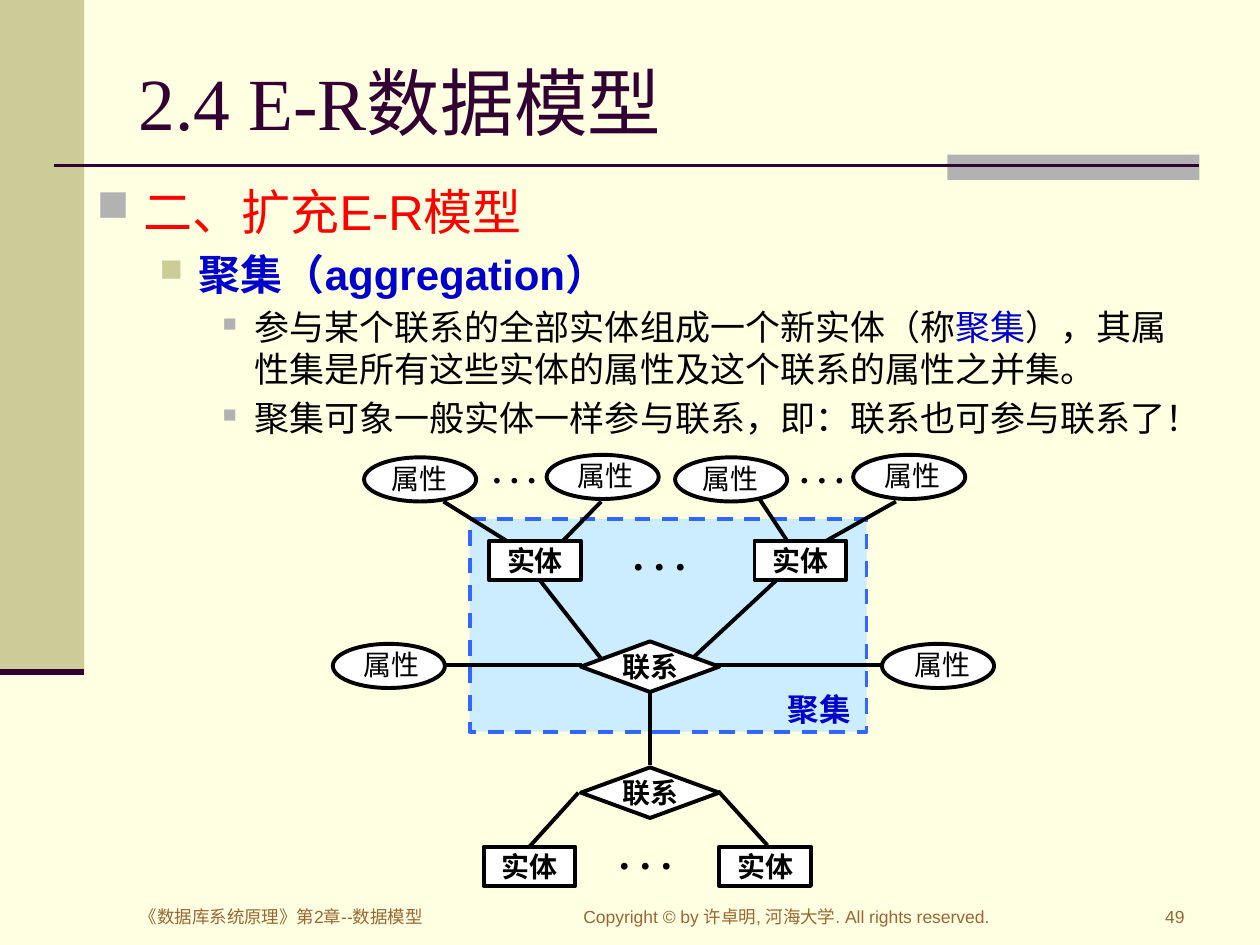
from dataclasses import dataclass
from lxml.etree import SubElement
from pptx import Presentation
from pptx.dml.color import RGBColor
from pptx.enum.dml import MSO_LINE
from pptx.enum.shapes import MSO_CONNECTOR, MSO_SHAPE as SHAPE
from pptx.enum.text import MSO_ANCHOR as ANCHOR, PP_ALIGN as ALIGN
from pptx.oxml.ns import qn
from pptx.util import Cm, Pt


@dataclass(frozen=True)
class Theme:
    paper: str = "FFFFE1"
    olive: str = "CCCC99"
    gray: str = "B2B2B2"
    plum: str = "330033"
    red: str = "FF0000"
    blue: str = "0000CC"
    sky: str = "CCECFF"
    dash: str = "3366FF"
    brown: str = "996633"
    black: str = "000000"
    white: str = "FFFFFF"
    sans: str = "Arial"
    serif: str = "Times New Roman"
    title: int = 42
    levels: tuple = (28, 24, 20)
    node: int = 16
    tag: int = 18
    footer: int = 10
    stroke: float = 2.25


T = Theme()
rgb = RGBColor.from_string

prs = Presentation()
prs.slide_width, prs.slide_height = Cm(25.4), Cm(19.05)
s = prs.slides.add_slide(prs.slide_layouts[6])
s.background.fill.solid()
s.background.fill.fore_color.rgb = rgb(T.paper)


def put(kind, x, y, w, h, text="", size=T.node, color=T.black, bold=False, font=T.serif,
        align=ALIGN.CENTER, anchor=ANCHOR.TOP, fill=T.white, line=T.black):
    box = Cm(x), Cm(y), Cm(w), Cm(h)
    if kind is None:
        sp = s.shapes.add_textbox(*box)
    else:
        sp = s.shapes.add_shape(kind, *box)
        sp.shadow.inherit = False
        sp.fill.solid()
        sp.fill.fore_color.rgb = rgb(fill)
        if line:
            sp.line.color.rgb = rgb(line)
            sp.line.width = Pt(T.stroke)
        else:
            sp.line.fill.background()
    tf = sp.text_frame
    tf.word_wrap = True
    tf.vertical_anchor = anchor
    if text:
        p = tf.paragraphs[0]
        p.text = text
        p.alignment = align
        f = p.runs[0].font
        f.name, f.size, f.bold, f.color.rgb = font, Pt(size), bold, rgb(color)
    return sp


def link(x1, y1, x2, y2, color=T.black, width=T.stroke):
    c = s.shapes.add_connector(MSO_CONNECTOR.STRAIGHT, Cm(x1), Cm(y1), Cm(x2), Cm(y2))
    c.line.color.rgb = rgb(color)
    c.line.width = Pt(width)
    SubElement(c._element.spPr, qn("a:effectLst"))


put(SHAPE.RECTANGLE, 0, 0, 1.7, 13.54, fill=T.olive, line=None)
put(SHAPE.RECTANGLE, 19.1, 3.12, 5.08, 0.51, fill=T.gray, line=None)
link(1.09, 3.33, 24.18, 3.33, T.plum, 1.5)
link(0, 13.54, 1.7, 13.54, T.plum, 3.5)
put(None, 2.54, 0.76, 21.59, 2.57, "2.4 E-R数据模型", T.title, T.plum,
    align=ALIGN.LEFT, anchor=ANCHOR.MIDDLE)

outline = [
    (0, [("二、扩充E-R模型", T.red)]),
    (1, [("聚集（aggregation）", T.blue)]),
    (2, [("参与某个联系的全部实体组成一个新实体（称", T.black), ("聚集", T.blue),
         ("），其属性集是所有这些实体的属性及这个联系的属性之并集。", T.black)]),
    (2, [("聚集可象一般实体一样参与联系，即：联系也可参与联系了！", T.black)]),
]
bullets = [(0.95, 0.95, T.gray, 90), (2.06, 0.79, T.olive, 75), (3.18, 0.64, T.gray, 55)]
tf = put(None, 1.7, 3.53, 22.43, 6.6).text_frame
for i, (level, parts) in enumerate(outline):
    p = tf.add_paragraph() if i else tf.paragraphs[0]
    p.level = level
    if i:
        p.space_before = Pt(T.levels[level] * 0.2)
    margin, hang, color, percent = bullets[level]
    pPr = p._p.get_or_add_pPr()
    pPr.set("marL", str(Cm(margin)))
    pPr.set("indent", str(-Cm(hang)))
    SubElement(SubElement(pPr, qn("a:buClr")), qn("a:srgbClr"), val=color)
    SubElement(pPr, qn("a:buSzPct"), val=str(percent * 1000))
    SubElement(pPr, qn("a:buChar"), char="■")
    for text, ink in parts:
        r = p.add_run()
        r.text = text
        f = r.font
        f.name, f.size, f.bold, f.color.rgb = T.sans, Pt(T.levels[level]), level == 1, rgb(ink)

frame = put(SHAPE.RECTANGLE, 9.47, 10.46, 8, 4.29, fill=T.sky, line=T.dash)
frame.line.dash_style = MSO_LINE.DASH

for ends in [
    (8.94, 10.11, 10.24, 10.92), (11.35, 10.9, 12.12, 10.11),
    (15.29, 10.03, 15.88, 10.92), (16.66, 10.9, 18.06, 10.11),
    (12.12, 13.28, 10.87, 11.68), (13.97, 13.26, 15.67, 11.68),
    (11.73, 13.41, 8.94, 13.41), (17.86, 13.41, 14.38, 13.41),
    (13.11, 15.42, 13.11, 13.92),
    (11.66, 15.98, 10.67, 17.07), (14.48, 15.95, 15.47, 17.04),
]:
    link(*ends)

for x, y, shift in [(7.34, 9.22, 0.08), (11.02, 9.17, 0.15), (13.61, 9.22, 0.08),
                    (17.2, 9.17, 0.15), (6.71, 12.98, 0.15), (17.78, 12.98, 0.18)]:
    put(SHAPE.OVAL, x, y, 2.26, 0.89)
    put(None, x + shift, y - 0.05, 2.08, 0.86, "属性")

for x, y in [(9.86, 10.9), (15.21, 10.9), (9.75, 17.07), (14.5, 17.07)]:
    put(SHAPE.RECTANGLE, x, y, 1.85, 0.79, "实体", bold=True, anchor=ANCHOR.MIDDLE)

for y in (12.93, 15.47):
    put(SHAPE.FLOWCHART_DECISION, 11.71, y, 2.79, 1.02)
    put(None, 12, y + 0.13, 2.24, 0.76, "联系", bold=True, anchor=ANCHOR.MIDDLE)

for x, y, w, h, size, align in [
    (9.68, 8.92, 1.8, 0.99, 20, ALIGN.LEFT), (15.88, 8.92, 2.31, 1.19, 20, ALIGN.LEFT),
    (11.91, 10.52, 2.77, 1.57, 24, ALIGN.CENTER), (11.79, 16.56, 2.44, 1.22, 24, ALIGN.CENTER),
]:
    put(None, x, y, w, h, ". . .", size, bold=True, align=align)
put(None, 15.54, 13.79, 1.96, 0.79, "聚集", T.tag, T.blue, bold=True)

for x, w, text, align in [
    (2.57, 8.15, "《数据库系统原理》第2章--数据模型", ALIGN.LEFT),
    (11.51, 8.99, "Copyright © by 许卓明, 河海大学. All rights reserved.", ALIGN.LEFT),
    (22.3, 1.83, "49", ALIGN.RIGHT),
]:
    put(None, x, 18.14, w, 0.79, text, T.footer, T.brown, font=T.sans, align=align)

prs.save("out.pptx")
